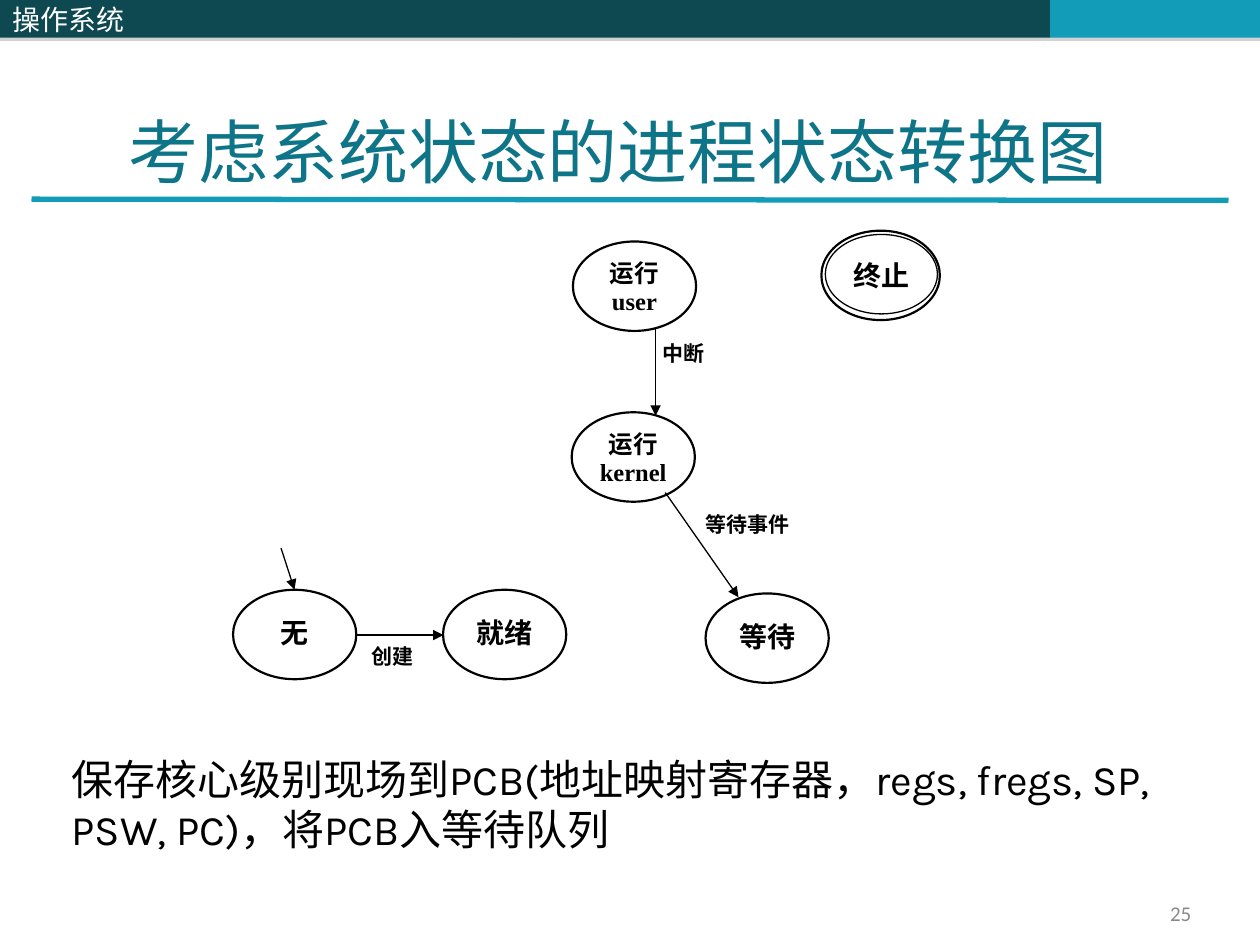
from lxml import etree
from pptx import Presentation
from pptx.dml.color import RGBColor
from pptx.enum.shapes import MSO_CONNECTOR, MSO_SHAPE
from pptx.enum.text import MSO_ANCHOR, MSO_AUTO_SIZE, PP_ALIGN
from pptx.oxml.ns import qn
from pptx.util import Pt

RECTANGLE, OVAL = MSO_SHAPE.RECTANGLE, MSO_SHAPE.OVAL
STRAIGHT = MSO_CONNECTOR.STRAIGHT
TOP, MIDDLE = MSO_ANCHOR.TOP, MSO_ANCHOR.MIDDLE
LEFT, CENTER, RIGHT, JUSTIFY = PP_ALIGN.LEFT, PP_ALIGN.CENTER, PP_ALIGN.RIGHT, PP_ALIGN.JUSTIFY
NO_AUTOSIZE = MSO_AUTO_SIZE.NONE
TITLE_ONLY = 5

BLACK, WHITE, GRAY = "000000", "FFFFFF", "898989"
DARK_TEAL, TEAL, TITLE_TEAL = "0E4851", "139CB7", "0E7589"
NODE_SIZE = (70.4, 51.1)


def color(value):
    return RGBColor.from_string(value)


def write_text(shape, text, font="Times New Roman", size=16, text_color=BLACK, bold=False,
               align=LEFT, anchor=TOP, insets=(7.2, 3.6, 7.2, 3.6), spacing=None):
    frame = shape.text_frame
    frame.word_wrap = True
    frame.auto_size = NO_AUTOSIZE
    frame.vertical_anchor = anchor
    (frame.margin_left, frame.margin_top,
     frame.margin_right, frame.margin_bottom) = map(Pt, insets)
    frame.text = text
    for paragraph in frame.paragraphs:
        paragraph.alignment = align
        if spacing:
            paragraph.line_spacing = spacing
        paragraph.font.name = font
        paragraph.font.size = Pt(size)
        paragraph.font.bold = bold
        paragraph.font.color.rgb = color(text_color)


class StateSlide:
    """Holds the slide and the style of the state diagram."""

    def __init__(self, slide):
        self.slide = slide

    def shape(self, kind, box, fill=None, line=None, width=0.75):
        shape = self.slide.shapes.add_shape(kind, *map(Pt, box))
        shape.shadow.inherit = False
        if fill:
            shape.fill.solid()
            shape.fill.fore_color.rgb = color(fill)
        else:
            shape.fill.background()
        if line:
            shape.line.color.rgb = color(line)
            shape.line.width = Pt(width)
        else:
            shape.line.fill.background()
        return shape

    def bar(self, left, width, fill):
        bar = self.shape(RECTANGLE, (left, 0, width, 21.6), fill)
        effects = bar.element.spPr.find(qn("a:effectLst"))
        shadow = etree.SubElement(effects, qn("a:outerShdw"), dist=str(Pt(1.8)),
                                  dir="5400000", rotWithShape="0")
        shade = etree.SubElement(shadow, qn("a:srgbClr"), val="808080")
        etree.SubElement(shade, qn("a:alpha"), val="35000")
        return bar

    def line(self, start, end, line_color=BLACK, width=0.75, arrow=True):
        line = self.slide.shapes.add_connector(STRAIGHT, *map(Pt, start + end))
        line.line.color.rgb = color(line_color)
        line.line.width = Pt(width)
        if arrow:
            etree.SubElement(line.line._get_or_add_ln(), qn("a:tailEnd"), type="triangle")
        etree.SubElement(line.element.spPr, qn("a:effectLst"))

    def node(self, left, top, text, size=NODE_SIZE, width=1.25):
        node = self.shape(OVAL, (left, top, *size), WHITE, BLACK, width)
        two_lines = "\n" in text
        write_text(node, text, size=14 if two_lines else 16, bold=True, align=CENTER, spacing=0.96,
                   insets=(2.9, 2.9, 2.9, 2.9) if two_lines else (2.9, 8.6, 2.9, 5.8))

    def label(self, left, top, width, text):
        label = self.shape(RECTANGLE, (left, top, width, 23.8), WHITE, WHITE)
        write_text(label, text, size=12, bold=True, align=JUSTIFY, insets=(1.4, 0.7, 1.4, 0.7))

    def title(self, box, text, **style):
        title = self.slide.shapes.title
        title.left, title.top, title.width, title.height = map(Pt, box)
        write_text(title, text, **style)

    def text(self, box, text, **style):
        write_text(self.slide.shapes.add_textbox(*map(Pt, box)), text, **style)


def main():
    presentation = Presentation()
    presentation.slide_width, presentation.slide_height = Pt(720), Pt(540)
    page = StateSlide(presentation.slides.add_slide(presentation.slide_layouts[TITLE_ONLY]))

    # Header bars and title
    page.bar(293.8, 306.2, DARK_TEAL)
    page.bar(600, 120, TEAL)
    header = page.bar(0, 293.8, DARK_TEAL)
    write_text(header, "操作系统", font="Noto Sans CJK SC", text_color=WHITE, anchor=MIDDLE)
    page.line((18, 113.8), (702, 114.5), TEAL, 3, arrow=False)
    page.title((66.2, 58.3, 591.8, 55.4), "考虑系统状态的进程状态转换图",
               size=40, text_color=TITLE_TEAL)

    # Transition labels
    page.label(401.8, 291.6, 57.6, "等待事件")
    page.label(377.3, 193.7, 33.1, "中断")
    page.label(211, 367.2, 34.6, "创建")

    # States
    for left, top, text in [
        (327.4, 138, "运行\nuser"),
        (326.7, 235.6, "运行\nkernel"),
        (403.2, 339.1, "等待"),
        (253.2, 337, "就绪"),
        (133.2, 337, "无"),
    ]:
        page.node(left, top, text)

    # Final state with a double outline
    page.node(471.6, 134, "终止", size=(64.1, 45.4), width=0.75)
    page.shape(OVAL, (469.4, 131.8, 67.7, 51.1), line=BLACK, width=1.25)

    # Transitions
    for start, end in [
        ((374.6, 188), (374.6, 237.6)),
        ((380.2, 281.5), (422, 341.3)),
        ((203.8, 362.9), (253.4, 362.9)),
        ((160.6, 313.2), (168.3, 337)),
    ]:
        page.line(start, end)

    # Explanation and page number
    page.text((33.8, 427, 658, 64.8),
              "保存核心级别现场到PCB(地址映射寄存器，regs, fregs, SP, PSW, PC)，将PCB入等待队列",
              font="Karla", size=24)
    page.text((540, 511.2, 167.8, 19.4), "25", font="Calibri", size=12, text_color=GRAY,
              align=RIGHT, insets=(7.2, 3.6, 27, 3.6))

    presentation.save("out.pptx")


if __name__ == "__main__":
    main()
